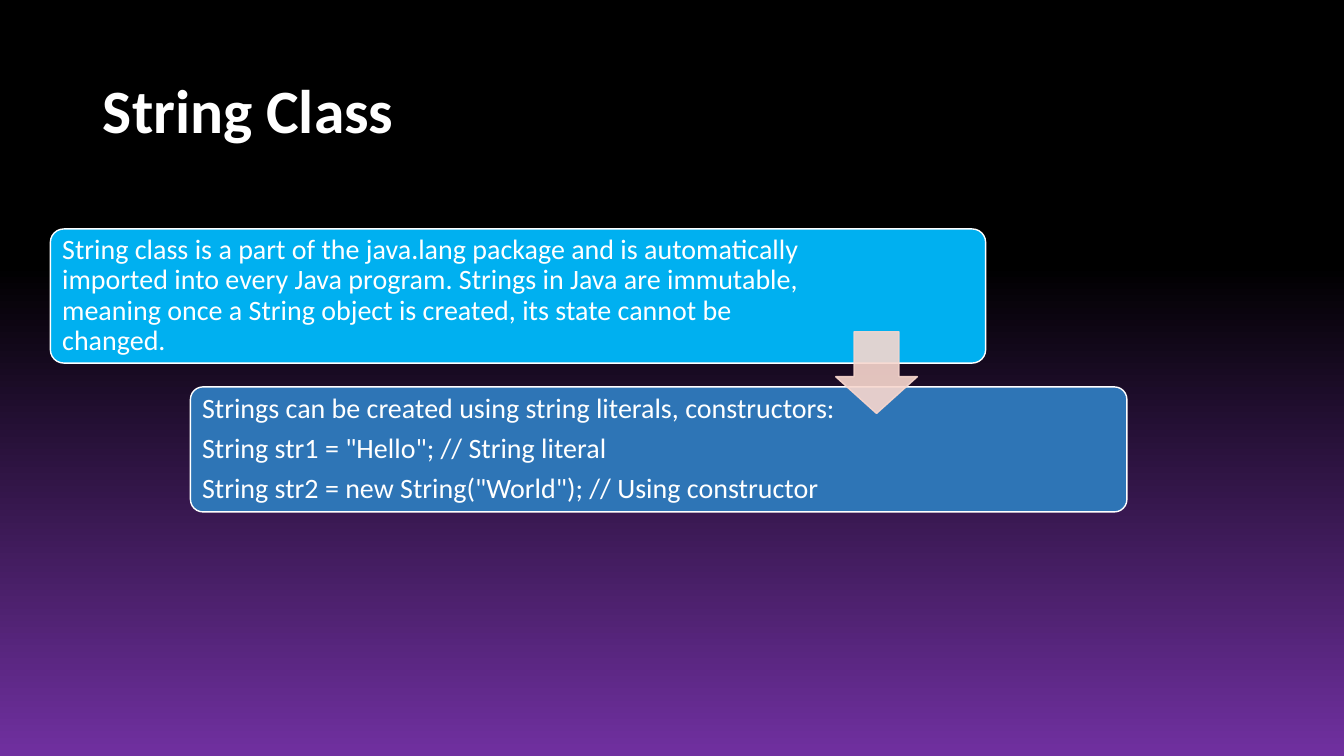
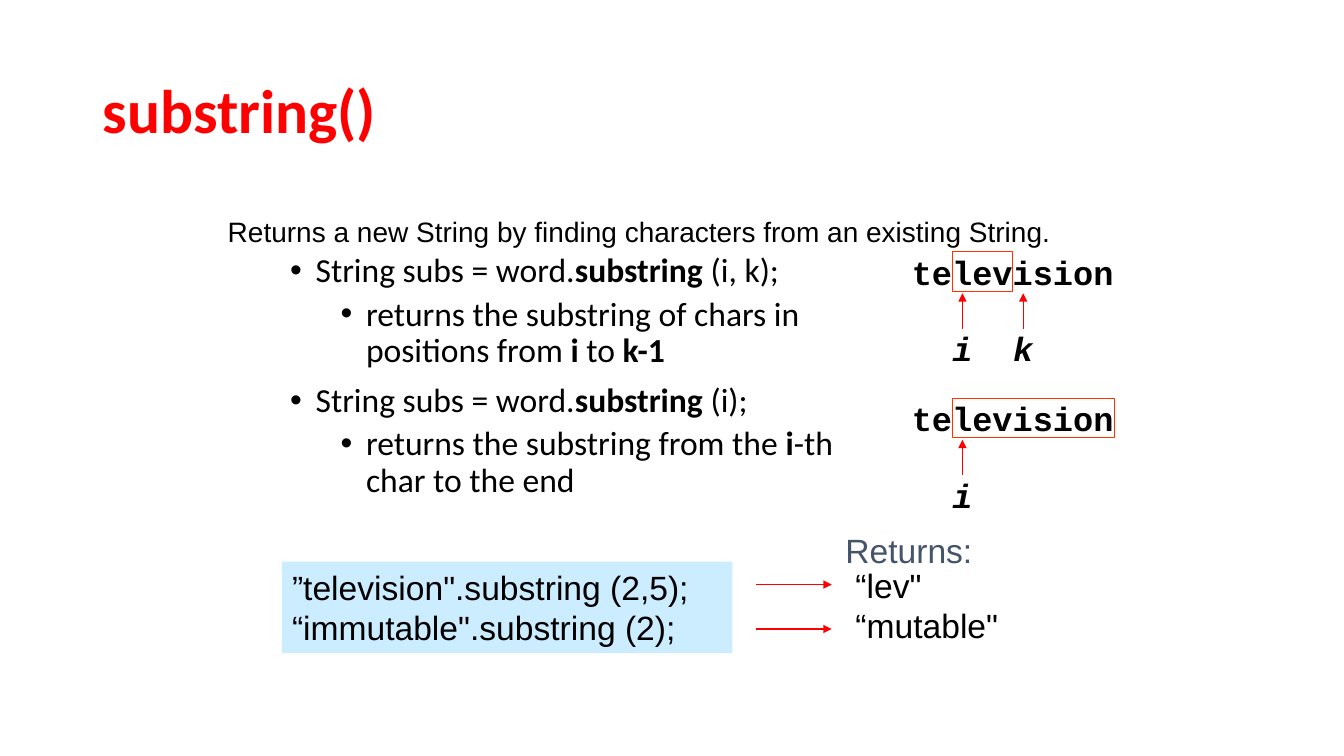
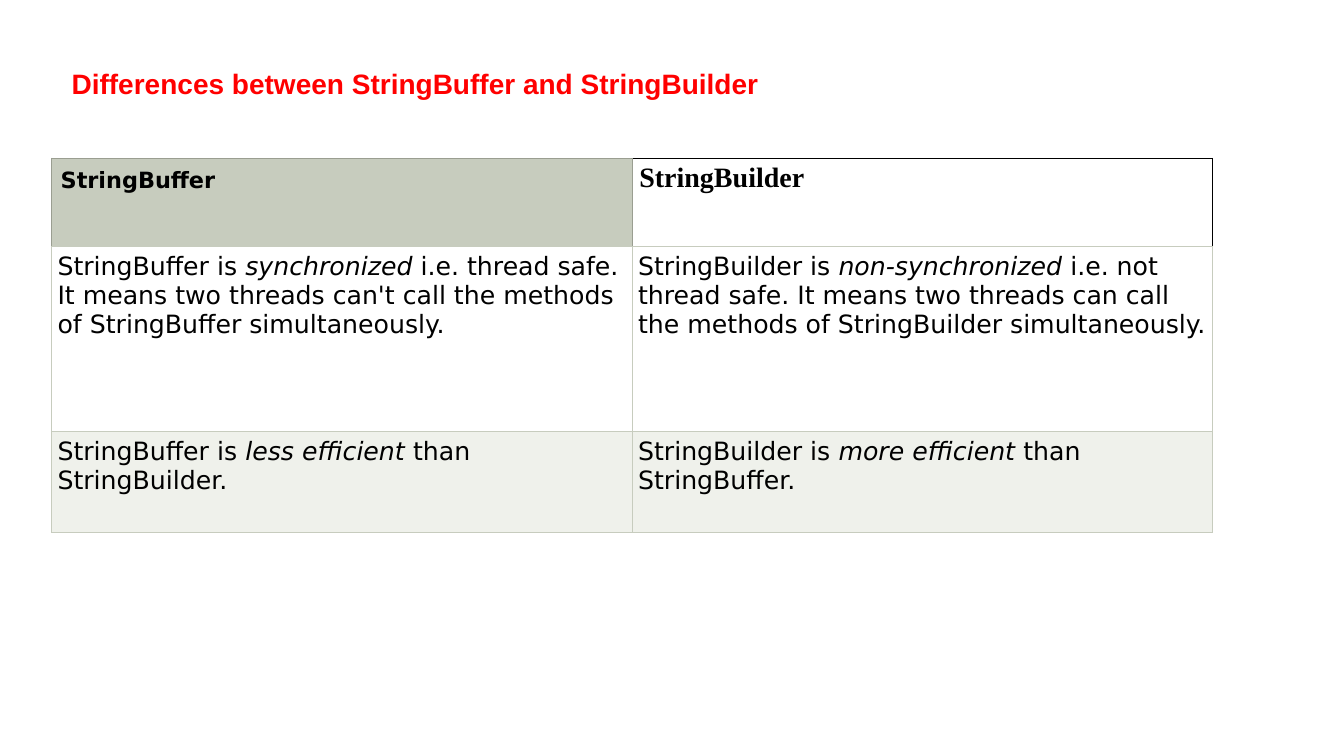
from dataclasses import dataclass

import lxml.etree
import pptx
import pptx.dml.color
import pptx.enum.shapes
import pptx.enum.text
import pptx.oxml.ns
import pptx.util

Cm = pptx.util.Cm
Pt = pptx.util.Pt
qn = pptx.oxml.ns.qn
SHAPE = pptx.enum.shapes.MSO_SHAPE
ALIGN = pptx.enum.text.PP_ALIGN
ANCHOR = pptx.enum.text.MSO_ANCHOR


@dataclass(frozen=True)
class Theme:
    white: str = "FFFFFF"
    black: str = "000000"
    red: str = "FF0000"
    purple: str = "7030A0"
    sky: str = "00B0F0"
    blue: str = "2E75B6"
    blush: str = "F8D7CE"
    pale: str = "CCECFF"
    slate: str = "44546A"
    frame: str = "FF3300"
    sage: str = "C7CCBE"
    edge: str = "9A9E91"
    mist: str = "EFF1EB"
    head: str = "Calibri"
    plain: str = "Arial"
    mono: str = "Courier New"
    serif: str = "Times New Roman"
    sans: str = "DejaVu Sans"
    huge: int = 44
    large: int = 24
    mid: int = 20
    text: int = 18
    small: int = 16
    thin: float = 0.75


def rgb(code):
    return pptx.dml.color.RGBColor.from_string(code)


def fade(node, share):
    """Give every colour below the node an opacity in percent."""
    for color in node.iter(qn("a:srgbClr")):
        lxml.etree.SubElement(color, qn("a:alpha"), val=str(share * 1000))


class Deck:
    def __init__(self, theme):
        self.theme = theme
        self.show = pptx.Presentation()
        self.show.slide_width = Cm(33.87)
        self.show.slide_height = Cm(19.05)
        self.slide = None

    def start(self, layout, back):
        """Open a slide; two colours make a gradient from the bottom up."""
        self.slide = self.show.slides.add_slide(self.show.slide_layouts[layout])
        fill = self.slide.background.fill
        if isinstance(back, str):
            fill.solid()
            fill.fore_color.rgb = rgb(back)
            return
        fill.gradient()
        fill.gradient_angle = 90
        for stop, color, place in zip(fill.gradient_stops, back, (0, 0.65)):
            stop.color.rgb = rgb(color)
            stop.position = place

    def put(self, frame, text, face, size, color, bold=False, slant=False,
            mark="bold", align=ALIGN.LEFT, lead=None, after=0):
        """Fill a frame; parts between asterisks get the marked style."""
        frame.word_wrap = True
        for n, line in enumerate(text.split("\n")):
            para = frame.paragraphs[0] if n == 0 else frame.add_paragraph()
            para.alignment = align
            para.line_spacing = lead
            para.space_before = Pt(0)
            para.space_after = Pt(after)
            for k, part in enumerate(line.split("*")):
                run = para.add_run()
                run.text = part
                font = run.font
                font.name, font.size = face, Pt(size)
                font.color.rgb = rgb(color)
                font.bold, font.italic = bold, slant
                if k % 2 and mark == "bold":
                    font.bold = True
                elif k % 2:
                    font.italic = True

    def place(self, holder, box, anchor):
        holder.left, holder.top, holder.width, holder.height = map(Cm, box)
        frame = holder.text_frame
        frame.auto_size = pptx.enum.text.MSO_AUTO_SIZE.NONE
        frame.vertical_anchor = anchor
        return frame

    def title(self, text, color, box=(2.34, 1.02, 29.21, 3.68), face=None,
              size=None, anchor=ANCHOR.MIDDLE):
        frame = self.place(self.slide.shapes.title, box, anchor)
        self.put(frame, text, face or self.theme.head,
                 size or self.theme.huge, color, bold=True, lead=0.9)

    def body(self, box, items):
        """Fill the list placeholder with (level, text) items."""
        t = self.theme
        frame = self.place(self.slide.placeholders[1], box, ANCHOR.TOP)
        self.put(frame, "\n".join(text for _, text in items), t.head,
                 t.large, t.black, lead=0.9)
        for para, (level, _) in zip(frame.paragraphs, items):
            para.level = level
            para.space_before = Pt(5 if level else 10)
            props = para._p.get_or_add_pPr()
            props.set("marL", str(Cm(0.64 + 1.27 * level)))
            props.set("indent", str(-Cm(0.64)))
            lxml.etree.SubElement(props, qn("a:buFont"), typeface="Arial")
            lxml.etree.SubElement(props, qn("a:buChar"), char="•")

    def label(self, box, text, face, size, color, **style):
        shape = self.slide.shapes.add_textbox(*map(Cm, box))
        self.put(shape.text_frame, text, face, size, color, **style)

    def shape(self, kind, box, fill=None, line=None, width=0.75, adjust=()):
        shape = self.slide.shapes.add_shape(kind, *map(Cm, box))
        shape.shadow.inherit = False
        for n, value in enumerate(adjust):
            shape.adjustments[n] = value
        for paint, color in ((shape.fill, fill), (shape.line.fill, line)):
            if color:
                paint.solid()
                paint.fore_color.rgb = rgb(color)
            else:
                paint.background()
        if line:
            shape.line.width = Pt(width)
        return shape

    def card(self, box, fill, text, right):
        t = self.theme
        shape = self.shape(SHAPE.ROUNDED_RECTANGLE, box, fill, t.white, 1,
                           [0.1])
        frame = shape.text_frame
        frame.vertical_anchor = ANCHOR.MIDDLE
        frame.margin_left = frame.margin_top = frame.margin_bottom = Cm(0.2)
        frame.margin_right = Cm(right)
        self.put(frame, text, t.head, t.mid, t.white, lead=0.9, after=7)

    def arrow(self, x1, y1, x2, y2):
        link = self.slide.shapes.add_connector(
            pptx.enum.shapes.MSO_CONNECTOR.STRAIGHT, *map(Cm, (x1, y1, x2, y2)))
        link.line.color.rgb = rgb(self.theme.red)
        link.line.width = Pt(self.theme.thin)
        lxml.etree.SubElement(link.line._get_or_add_ln(), qn("a:tailEnd"),
                              type="triangle")
        lxml.etree.SubElement(link._element.spPr, qn("a:effectLst"))

    def word(self, top, text, first, last, marks):
        """Draw a word, a frame round letters first to last, and pointers."""
        t = self.theme
        left, pitch = 22.98, 0.51
        self.label((left - 0.25, top, 5.6, 1.2), text, t.mono, t.large,
                   t.black, bold=True)
        self.shape(SHAPE.RECTANGLE,
                   (left + first * pitch, top + 0.13,
                    (last - first) * pitch, 0.99), line=t.frame)
        for name, spot in marks.items():
            x = left + (spot + 0.5) * pitch
            self.arrow(x, top + 2.06, x, top + 1.17)
            self.label((x - 0.6, top + 1.92, 1.2, 1.2), name, t.mono, t.large,
                       t.black, bold=True, slant=True, align=ALIGN.CENTER)

    def table(self, box, heights, rows):
        shape = self.slide.shapes.add_table(len(rows), len(rows[0]),
                                            *map(Cm, box))
        grid = shape.table
        grid.first_row = grid.horz_banding = False
        for row, height, cells in zip(grid.rows, heights, rows):
            row.height = Cm(height)
            for cell, (text, look) in zip(row.cells, cells):
                self.cell(cell, text, **look)

    def cell(self, cell, text, fill, edges, pad, face, size, bold=False):
        props = cell._tc.get_or_add_tcPr()
        for side, color in zip("LRTB", edges):
            line = lxml.etree.SubElement(props, qn("a:ln" + side),
                                         w=str(Pt(self.theme.thin)))
            paint = lxml.etree.SubElement(line, qn("a:solidFill"))
            lxml.etree.SubElement(paint, qn("a:srgbClr"), val=color)
        if fill:
            cell.fill.solid()
            cell.fill.fore_color.rgb = rgb(fill)
        else:
            cell.fill.background()
        cell.margin_left = cell.margin_right = Cm(pad[0])
        cell.margin_top = cell.margin_bottom = Cm(pad[1])
        self.put(cell.text_frame, text, face, size, self.theme.black,
                 bold=bold, mark="italic")


def intro(deck):
    t = deck.theme
    deck.start(5, (t.purple, t.black))
    deck.title("String Class", t.white)
    deck.card((1.27, 5.77, 23.57, 3.38), t.sky,
              "String class is a part of the java.lang package and is "
              "automatically imported into every Java program. Strings in "
              "Java are immutable, meaning once a String object is created, "
              "its state cannot be changed.", 3.81)
    deck.card((4.8, 9.75, 23.6, 3.15), t.blue,
              "Strings can be created using string literals, constructors:\n"
              'String str1 = "Hello"; // String literal\n'
              'String str2 = new String("World"); // Using constructor', 6.76)
    down = deck.shape(SHAPE.DOWN_ARROW, (21.06, 8.36, 2.06, 2.06), t.blush,
                      t.blush, 1, (0.55, 0.45))
    fade(down._element.spPr, 90)


def method(deck):
    t = deck.theme
    deck.start(1, t.white)
    deck.title("substring()", t.red)
    deck.body((7.06, 6.27, 15.52, 7.16), [
        (0, "String subs = word.*substring* (i, k);"),
        (1, "returns the substring of chars in positions from *i* to *k-1*"),
        (0, "String subs = word.*substring *(i);"),
        (1, "returns the substring from the *i*-th char to the end")])
    deck.label((21.31, 14.1, 6.91, 2.31), '“lev"\n“mutable"', t.plain,
               t.large, t.black)
    calls = deck.shape(SHAPE.RECTANGLE, (7.11, 14.15, 11.35, 2.31), t.pale)
    calls.text_frame.vertical_anchor = ANCHOR.TOP
    deck.put(calls.text_frame, '”television".substring (2,5);\n'
             '“immutable".substring (2);', t.plain, t.large, t.black)
    deck.label((20.9, 13.23, 4.01, 1.27), "Returns:", t.plain, t.large,
               t.slate, align=ALIGN.CENTER)
    for y in (14.73, 15.85):
        deck.arrow(19.05, y, 20.96, y)
    deck.word(6.22, "television", 2, 5, {"i": 2, "k": 5})
    deck.word(9.91, "television", 2, 10, {"i": 2})
    deck.label((5.49, 5.28, 21.77, 1.09),
               "Returns a new String by finding characters from an existing "
               "String.", t.plain, t.mid, t.black)


def compare(deck):
    t = deck.theme
    deck.start(5, t.white)
    deck.title("Differences between StringBuffer and StringBuilder", t.red,
               (1.55, 1.65, 27.46, 1.12), t.plain, t.mid, ANCHOR.TOP)
    left = dict(fill=t.sage, edges=(t.edge, t.edge, t.edge, t.sage),
                pad=(0.23, 0.23), face=t.sans, size=t.small, bold=True)
    right = dict(fill=None, edges=(t.edge, t.black, t.black, t.sage),
                 pad=(0.18, 0.1), face=t.serif, size=t.mid, bold=True)
    plain = dict(fill=t.white, edges=(t.sage,) * 4, pad=(0.15, 0.15),
                 face=t.sans, size=t.text)
    tint = dict(plain, fill=t.mist)
    deck.table((1.3, 3.99, 29.26, 9.42), (2.21, 4.67, 2.54), [
        [("StringBuffer", left), ("StringBuilder", right)],
        [("StringBuffer is *synchronized* i.e. thread safe. It means two "
          "threads can't call the methods of StringBuffer simultaneously.",
          plain),
         ("StringBuilder is *non-synchronized* i.e. not thread safe. It means "
          "two threads can call the methods of StringBuilder simultaneously.",
          plain)],
        [("StringBuffer is *less efficient* than StringBuilder.", tint),
         ("StringBuilder is *more efficient* than StringBuffer.", tint)]])


def main():
    deck = Deck(Theme())
    intro(deck)
    method(deck)
    compare(deck)
    deck.show.save("out.pptx")


if __name__ == "__main__":
    main()
